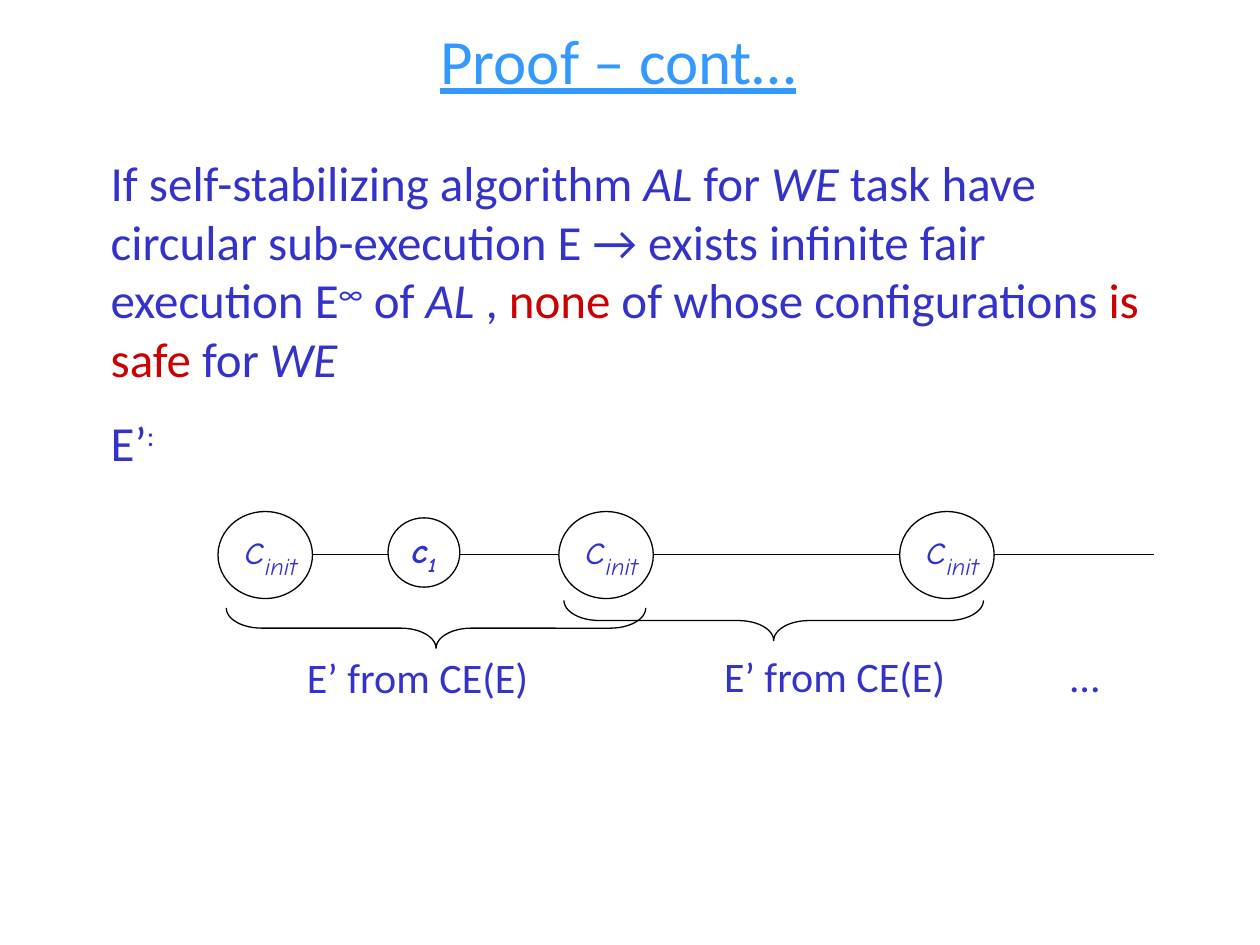
from lxml import etree
from pptx import Presentation, util as u
from pptx.dml.color import RGBColor
from pptx.enum import shapes, text
from pptx.oxml.ns import qn

THEME = {
    "title": "3399FF", "body": "3333CC", "alert": "CC0000",
    "line": "000000", "paper": "FFFFFF",
    "sans": "Calibri", "hand": "Comic Neue",
    "title_size": 36, "body_size": 28, "label_size": 24, "step_size": 20,
    "line_width": 0.75, "paragraph_gap": 14,
}

# Each span is (words, styles).
ITALIC, ALERT = {"italic": True}, {"color": "alert"}
SUPER, SUB = {"baseline": 30}, {"baseline": -25}

TITLE = [[("Proof – cont…", {"underline": True})]]
CLAIM = [
    [("If self-stabilizing algorithm ", {}), ("AL", ITALIC), (" for ", {}), ("WE", ITALIC),
     (" task have circular sub-execution E → exists infinite fair execution E", {}),
     ("∞", SUPER), (" of ", {}), ("AL ", ITALIC), (", ", {}), ("none", ALERT),
     (" of whose configurations ", {}), ("is safe", ALERT), (" for ", {}), ("WE", ITALIC)],
    [("E’", {}), (":", SUPER)],
]
INITIAL = [[("c", {}), ("init", SUB)]]
STEP = [[("c", {}), ("1", SUB)]]
SEGMENT = [[("E’ from CE(E)", {})]]
MORE = [[("…", {})]]

# Chain of configurations, in inches: one column per initial configuration.
COLUMNS, PITCH = 3, 2.705
NODE_LEFT, NODE_TOP, NODE_WIDTH, NODE_HEIGHT = 1.73, 4.06, 0.75, 0.69
CHAIN_Y, CHAIN_END = 4.4, 9.16
BRACE_WIDTH, BRACE_LENGTH = 0.32, 3.33
LABEL_WIDTH, LABEL_HEIGHT = 2.43, 0.5
# Centre of brace (x, y), then left and top of its label.
SEGMENTS = [(3.46, 4.985, 2.1, 5.12), (6.14, 4.925, 5.41, 5.11)]


def inches(*values):
    return [u.Inches(value) for value in values]


def color(name):
    return RGBColor.from_string(THEME[name])


def write(box, paragraphs, size, font="sans", ink="body", align=text.PP_ALIGN.CENTER,
          bold=False, italic=False, wrap=True, anchor=text.MSO_ANCHOR.TOP):
    frame = box.text_frame
    frame.word_wrap = wrap
    frame.vertical_anchor = anchor
    for number, spans in enumerate(paragraphs):
        para = frame.add_paragraph() if number else frame.paragraphs[0]
        para.alignment = align
        para.space_before = u.Pt(THEME["paragraph_gap"] if number else 0)
        para.font.name, para.font.size = THEME[font], u.Pt(THEME[size])
        para.font.bold, para.font.italic = bold, italic
        para.font.color.rgb = color(ink)
        for words, style in spans:
            span = para.add_run()
            span.text = words
            if "italic" in style:
                span.font.italic = True
            if "underline" in style:
                span.font.underline = True
            if "color" in style:
                span.font.color.rgb = color(style["color"])
            if "baseline" in style:
                span._r.get_or_add_rPr().set("baseline", str(style["baseline"] * 1000))


def add_text(parent, place, paragraphs, size, **style):
    write(parent.add_textbox(*inches(*place)), paragraphs, size, **style)


def add_outline(parent, kind, place, fill=None):
    shape = parent.add_shape(kind, *inches(*place))
    shape.shadow.inherit = False
    if fill:
        shape.fill.solid()
        shape.fill.fore_color.rgb = color(fill)
    else:
        shape.fill.background()
    shape.line.color.rgb = color("line")
    shape.line.width = u.Pt(THEME["line_width"])
    return shape


def add_link(parent, start, end):
    link = parent.add_connector(shapes.MSO_CONNECTOR.STRAIGHT,
                                *inches(start, CHAIN_Y, end, CHAIN_Y))
    link.line.color.rgb = color("line")
    link.line.width = u.Pt(THEME["line_width"])
    etree.SubElement(link._element.spPr, qn("a:effectLst"))


def add_chain(parent):
    oval = shapes.MSO_SHAPE.OVAL
    lefts = [NODE_LEFT + column * PITCH for column in range(COLUMNS)]
    for left in lefts:
        node = parent.add_group_shape().shapes
        add_outline(node, oval, (left, NODE_TOP, NODE_WIDTH, NODE_HEIGHT))
        add_text(node, (left + 0.02, NODE_TOP + 0.04, 0.8, LABEL_HEIGHT),
                 INITIAL, "label_size", font="hand", italic=True)
    for left, end in zip(lefts, lefts[1:] + [CHAIN_END]):
        add_link(parent, left + NODE_WIDTH, end)
    step = add_outline(parent, oval, (3.08, 4.11, 0.57, 0.55), fill="paper")
    write(step, STEP, "step_size", font="hand", bold=True, italic=True,
          wrap=False, anchor=text.MSO_ANCHOR.MIDDLE)


def add_segments(parent):
    for x, y, left, top in SEGMENTS:
        brace = add_outline(parent, shapes.MSO_SHAPE.RIGHT_BRACE,
                            (x - BRACE_WIDTH / 2, y - BRACE_LENGTH / 2,
                             BRACE_WIDTH, BRACE_LENGTH))
        brace.rotation = 90
        brace.adjustments[0], brace.adjustments[1] = 0.88, 0.5
        add_text(parent, (left, top, LABEL_WIDTH, LABEL_HEIGHT), SEGMENT, "label_size")
    add_text(parent, (8.31, 5.11, 0.6, LABEL_HEIGHT), MORE, "label_size")


def main():
    deck = Presentation()
    deck.slide_width, deck.slide_height = inches(10, 7.5)
    page = deck.slides.add_slide(deck.slide_layouts[6])
    add_text(page.shapes, (0.08, 0, 9.65, 0.94), TITLE, "title_size",
             ink="title", anchor=text.MSO_ANCHOR.MIDDLE)
    add_text(page.shapes, (0.78, 1.16, 8.62, 2.67), CLAIM, "body_size",
             align=text.PP_ALIGN.LEFT)
    add_chain(page.shapes)
    add_segments(page.shapes)
    deck.save("out.pptx")


if __name__ == "__main__":
    main()
